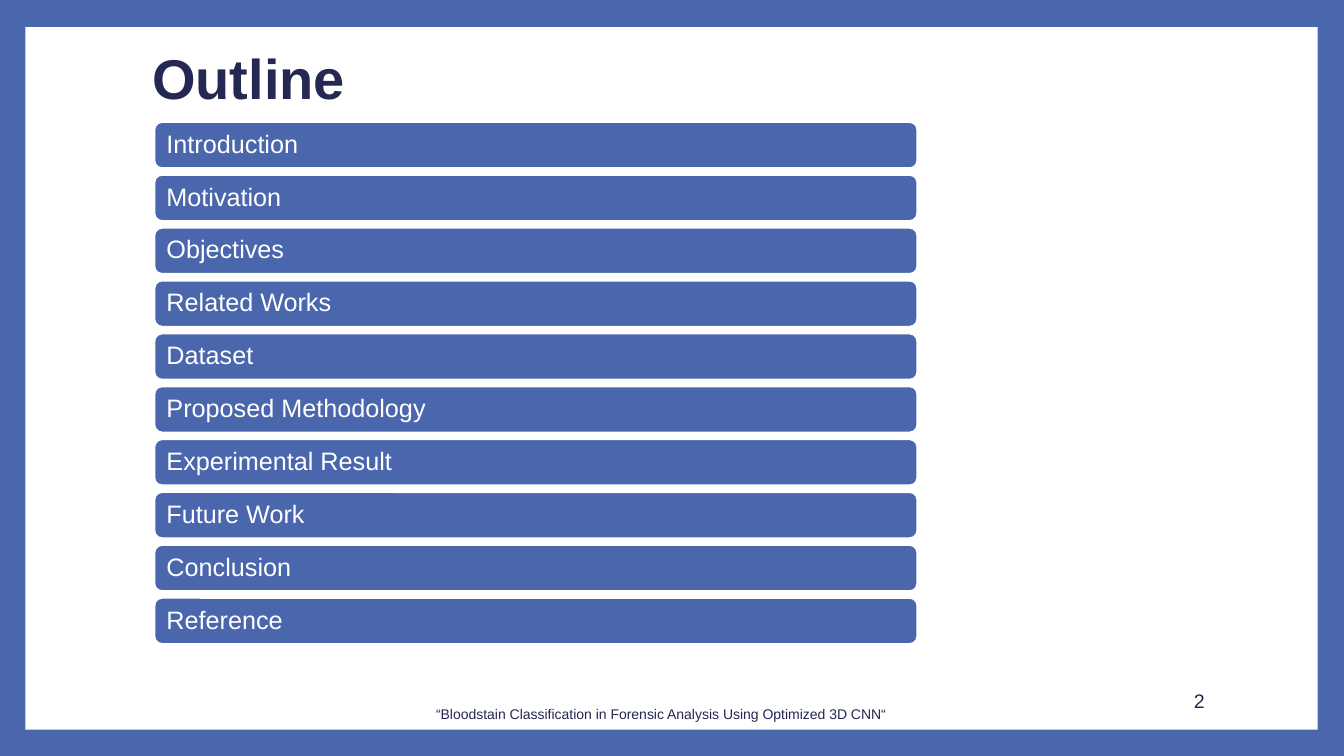
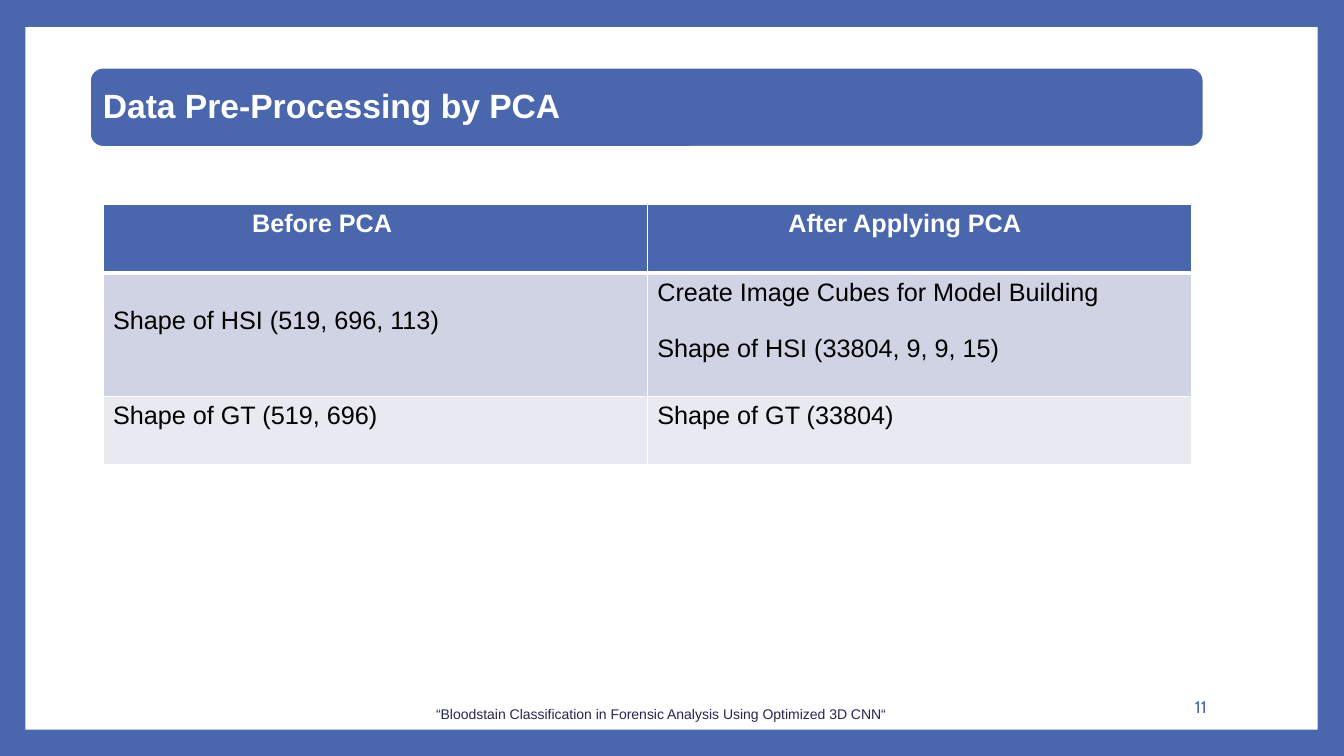
from dataclasses import dataclass

from lxml import etree
from pptx import Presentation, util as u
from pptx.dml.color import RGBColor
from pptx.enum import shapes, text
from pptx.oxml import ns


@dataclass(frozen=True)
class Theme:
    """Colours, type styles and frame formats shared by the slides."""
    blue = RGBColor(0x4A, 0x66, 0xAC)
    navy = RGBColor(0x24, 0x28, 0x52)
    white = RGBColor(0xFF, 0xFF, 0xFF)
    black = RGBColor(0, 0, 0)
    dark_row = RGBColor(0xD0, 0xD3, 0xE3)
    light_row = RGBColor(0xE9, 0xEA, 0xF1)

    # Type styles: font attributes, and a colour
    title = dict(name="Arial", size=u.Pt(40), bold=True), navy
    band_title = dict(name="Arial", size=u.Pt(24), bold=True), white
    bar = dict(name="Arial", size=u.Pt(18), bold=False), white
    table_head = dict(name="Arial", size=u.Pt(18), bold=True), white
    table_body = dict(name="Arial", size=u.Pt(18), bold=False), black
    footer = dict(name="Arial", size=u.Pt(10), bold=False), navy
    number = dict(name="Arial", size=u.Pt(14), bold=False), navy
    accent_number = dict(name="Cabin", size=u.Pt(12), bold=False), blue

    middle = dict(word_wrap=True, auto_size=text.MSO_AUTO_SIZE.NONE,
                  vertical_anchor=text.MSO_ANCHOR.MIDDLE)
    top = dict(middle, vertical_anchor=text.MSO_ANCHOR.TOP)


THEME = Theme()
WIDTH, HEIGHT = u.Inches(13.33), u.Inches(7.5)
FOOTER = "“Bloodstain Classification in Forensic Analysis Using Optimized 3D CNN“"
TOPICS = ["Introduction", "Motivation", "Objectives", "Related Works", "Dataset",
          "Proposed Methodology", "Experimental Result", "Future Work",
          "Conclusion", "Reference"]
PCA_ROWS = [
    [["Before PCA"], ["After Applying PCA"]],
    [["Shape of HSI (519, 696, 113)"],
     ["Create Image Cubes for Model Building", "Shape of HSI (33804, 9, 9, 15)"]],
    [["Shape of GT (519, 696)"], ["Shape of GT (33804)"]],
]


def across(percent):
    return round(WIDTH * percent / 100)


def down(percent):
    return round(HEIGHT * percent / 100)


def area(left, top, width, height):
    """Turn percentages of the slide into a position and size."""
    return across(left), down(top), across(width), down(height)


def apply(target, formats):
    for attribute, value in formats.items():
        setattr(target, attribute, value)


def write(paragraph, words, style, **formats):
    run = paragraph.add_run()
    run.text = words
    font_formats, color = style
    apply(run.font, font_formats)
    run.font.color.rgb = color
    apply(paragraph, formats)


def add_panel(slide, kind, place, fill, outline=None):
    panel = slide.shapes.add_shape(kind, *place)
    panel.shadow.inherit = False
    panel.fill.solid()
    panel.fill.fore_color.rgb = fill
    if outline is None:
        panel.line.fill.background()
    else:
        panel.line.color.rgb = outline
        panel.line.width = u.Pt(1.5)
    return panel


def add_band(slide, place):
    return add_panel(slide, shapes.MSO_SHAPE.ROUNDED_RECTANGLE, place,
                     THEME.blue, THEME.white)


def add_label(slide, place, words, style, align, frame_formats):
    frame = slide.shapes.add_textbox(*place).text_frame
    apply(frame, frame_formats)
    write(frame.paragraphs[0], words, style, alignment=align)


def set_title(slide, place, words, style):
    title = slide.shapes.title
    apply(title, dict(zip(("left", "top", "width", "height"), place)))
    apply(title.text_frame, THEME.middle)
    write(title.text_frame.paragraphs[0], words, style,
          alignment=text.PP_ALIGN.LEFT, line_spacing=0.9)
    # The title lies in front of any band
    slide.shapes.element.append(title.element)


def add_footer(slide, number, number_place, number_style):
    add_label(slide, area(3.6, 92.67, 91.13, 5.33), FOOTER, THEME.footer,
              text.PP_ALIGN.CENTER, THEME.top)
    add_label(slide, number_place, number, number_style,
              text.PP_ALIGN.RIGHT, THEME.middle)


def add_topic_bars(slide, topics, first_top, last_top):
    pitch = (last_top - first_top) / (len(topics) - 1)
    for index, topic in enumerate(topics):
        bar = add_band(slide, area(11.48, first_top + index * pitch, 56.78, 6.13))
        apply(bar.text_frame, THEME.middle)
        write(bar.text_frame.paragraphs[0], topic, THEME.bar,
              alignment=text.PP_ALIGN.LEFT, line_spacing=0.9)


def set_borders(cell, color, widths):
    properties = cell._tc.get_or_add_tcPr()
    for side, width in widths.items():
        line = etree.SubElement(properties, ns.qn(f"a:ln{side}"), w=str(u.Pt(width)))
        fill = etree.SubElement(line, ns.qn("a:solidFill"))
        etree.SubElement(fill, ns.qn("a:srgbClr"), val=str(color))


def fill_cell(cell, lines, style, fill, borders):
    set_borders(cell, THEME.white, borders)
    cell.fill.solid()
    cell.fill.fore_color.rgb = fill
    frame = cell.text_frame
    for index, line in enumerate(lines):
        paragraph = frame.add_paragraph() if index else frame.paragraphs[0]
        write(paragraph, line, style, space_before=u.Pt(20 if index else 0))


def add_pca_table(slide, rows, left, top, width, row_heights):
    place = area(left, top, width, sum(row_heights))
    table = slide.shapes.add_table(len(rows), len(rows[0]), *place).table
    fills = [THEME.blue, THEME.dark_row, THEME.light_row]
    for column in table.columns:
        column.width = across(width / len(rows[0]))
    for r, (row, height, fill) in enumerate(zip(rows, row_heights, fills)):
        table.rows[r].height = down(height)
        style = THEME.table_body if r else THEME.table_head
        borders = dict(L=1, R=1, T=3 if r == 1 else 1, B=1 if r else 3)
        for c, lines in enumerate(row):
            fill_cell(table.cell(r, c), lines, style, fill, borders)
    # Indented headings, and a lowered first entry
    for c, indent in enumerate((11.1, 10.5)):
        table.cell(0, c).margin_left = across(indent)
    table.cell(1, 0).margin_top = down(4.4)


def set_up_master(prs, slide):
    """Give every slide the blue border and the white page."""
    master = prs.slide_master
    master.background.fill.solid()
    master.background.fill.fore_color.rgb = THEME.blue
    page = add_panel(slide, shapes.MSO_SHAPE.RECTANGLE,
                     area(1.88, 3.6, 96.15, 92.93), THEME.white)
    master.shapes.element.insert(2, page.element)


def build_outline(slide):
    set_title(slide, area(10.58, 2.93, 19.58, 15.6), "Outline", THEME.title)
    add_topic_bars(slide, TOPICS, first_top=16.13, last_top=79.07)
    add_footer(slide, "2", area(82.43, 90, 7.95, 5.33), THEME.number)


def build_pca(slide):
    add_band(slide, area(6.68, 8.93, 82.88, 10.53))
    set_title(slide, area(6.9, 9.47, 82.28, 9.47), "Data Pre-Processing by PCA",
              THEME.band_title)
    add_pca_table(slide, PCA_ROWS, 7.66, 27.07, 81, (9.07, 16.27, 9.07))
    add_footer(slide, "11", area(76.5, 90.8, 14.03, 5.33), THEME.accent_number)


def main():
    prs = Presentation()
    prs.slide_width, prs.slide_height = WIDTH, HEIGHT
    title_only = prs.slide_layouts[5]
    outline, pca = (prs.slides.add_slide(title_only) for _ in range(2))
    set_up_master(prs, outline)
    build_outline(outline)
    build_pca(pca)
    prs.save("out.pptx")


if __name__ == "__main__":
    main()
